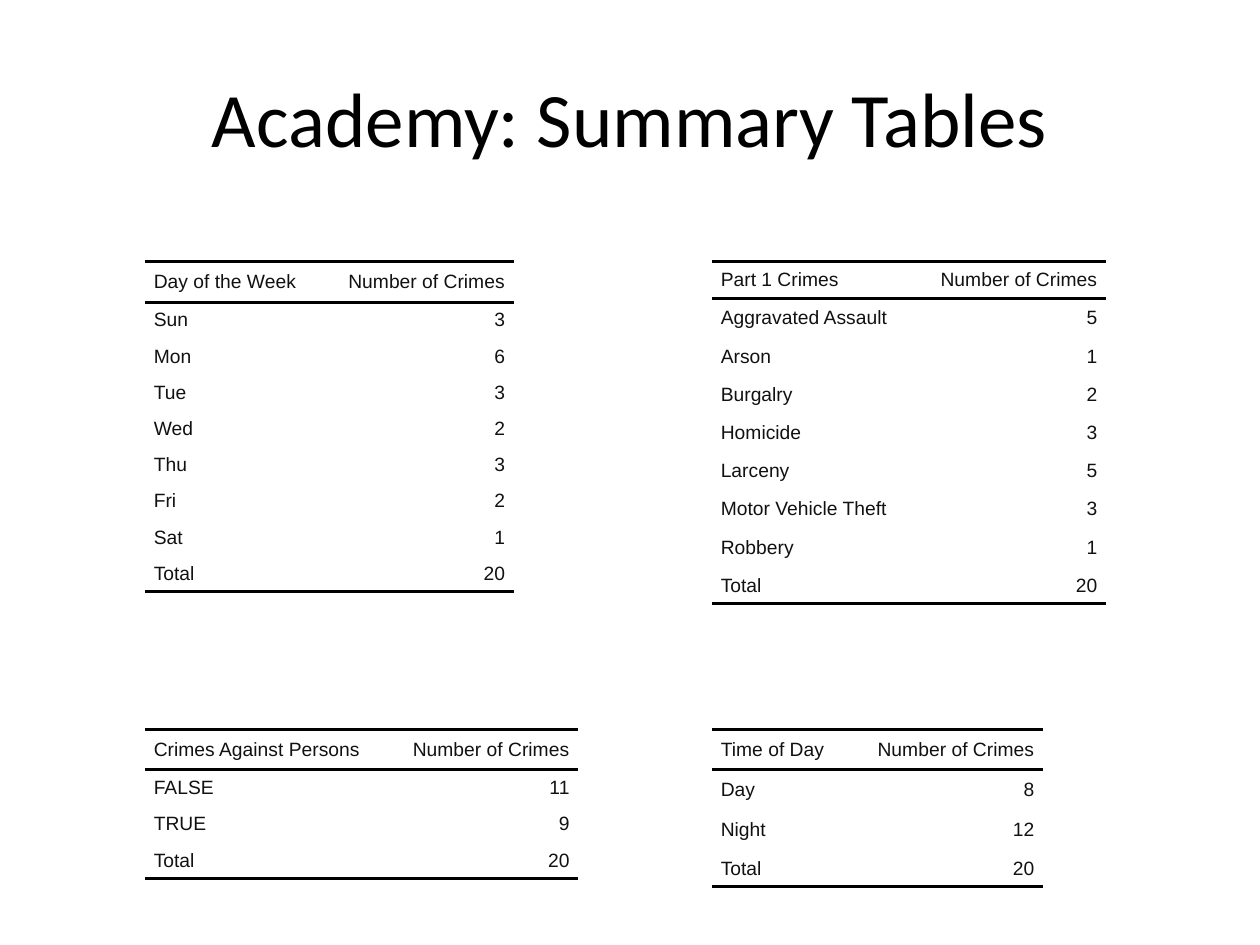
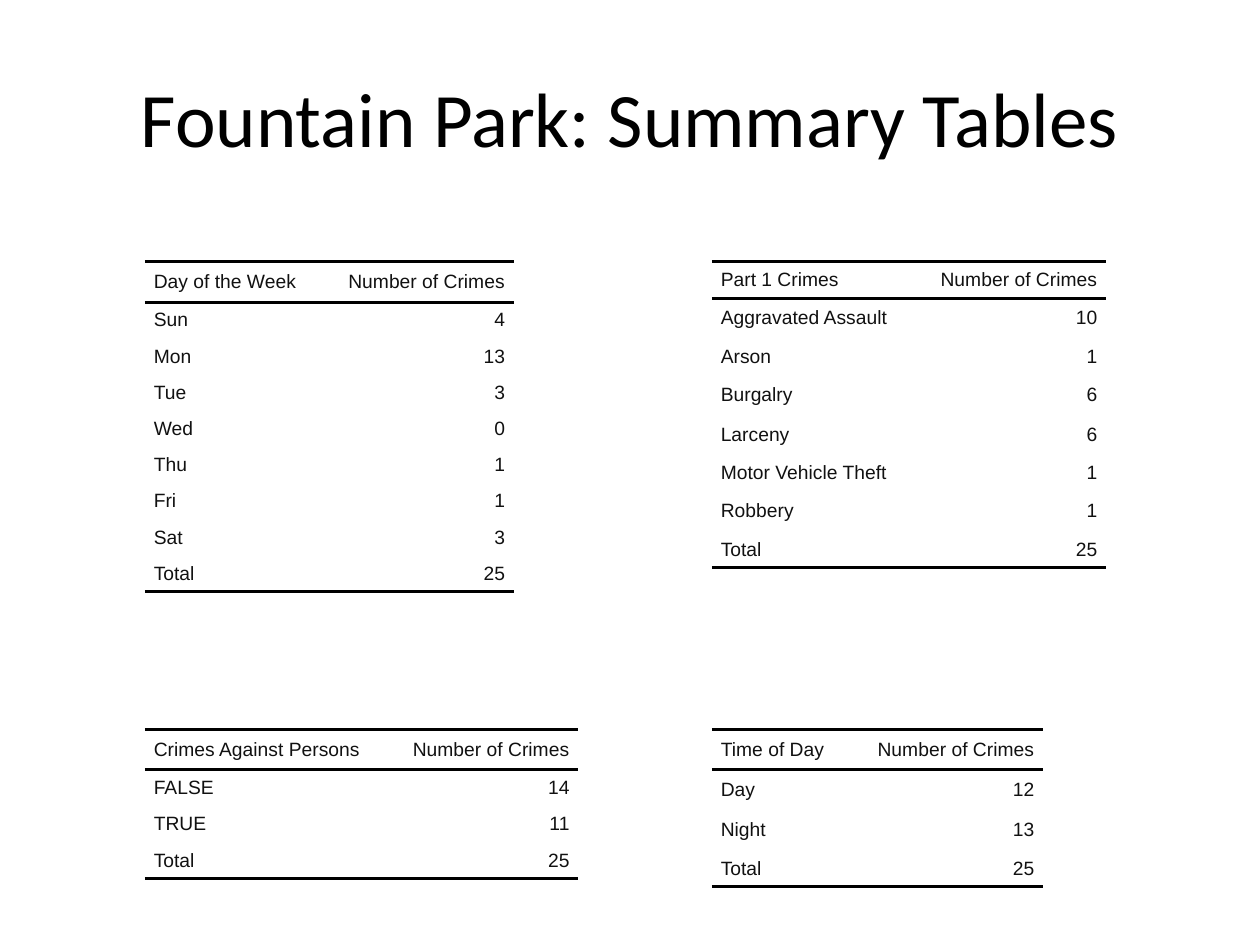
from lxml.etree import SubElement
from pptx import Presentation
from pptx.dml.color import RGBColor
from pptx.enum.text import MSO_ANCHOR, PP_ALIGN
from pptx.oxml.ns import qn
from pptx.util import Cm, Pt

BLACK = RGBColor(0, 0, 0)
TABLE_TEXT = RGBColor(0x11, 0x11, 0x11)
TITLE_FONT, TABLE_FONT = "Calibri", "Arial"
NO_STYLE_NO_GRID = "{2D5ABB26-0587-4C30-8999-92F81FD0307C}"

# Lengths in centimetres
SLIDE_SIZE = (25.4, 19.05)
TITLE_BOX = (1.27, 0.76, 22.86, 3.18)
LEFT, RIGHT = 2.92, 14.35
TOP, BOTTOM = 5.28, 14.71
COUNT_WIDTH = 3.86
SHORT_ROW, TALL_ROW = 0.73, 0.81
CELL_INDENT = 0.18
DESCENDERS = set("gjpqy")

# Heading, left, top and label column width of each table
TABLES = (
    ("Part 1 Crimes", RIGHT, TOP, 4.09),
    ("Day of the Week", LEFT, TOP, 3.58),
    ("Crimes Against Persons", LEFT, BOTTOM, 4.88),
    ("Time of Day", RIGHT, BOTTOM, 2.82),
)

DAYS = ("Sun", "Mon", "Tue", "Wed", "Thu", "Fri", "Sat")
DISTRICTS = {
    "Academy": {
        "Part 1 Crimes": {
            "Aggravated Assault": 5, "Arson": 1, "Burgalry": 2, "Homicide": 3,
            "Larceny": 5, "Motor Vehicle Theft": 3, "Robbery": 1},
        "Day of the Week": dict(zip(DAYS, (3, 6, 3, 2, 3, 2, 1))),
        "Crimes Against Persons": {"FALSE": 11, "TRUE": 9},
        "Time of Day": {"Day": 8, "Night": 12},
    },
    "Fountain Park": {
        "Part 1 Crimes": {
            "Aggravated Assault": 10, "Arson": 1, "Burgalry": 6,
            "Larceny": 6, "Motor Vehicle Theft": 1, "Robbery": 1},
        "Day of the Week": dict(zip(DAYS, (4, 13, 3, 0, 1, 1, 3))),
        "Crimes Against Persons": {"FALSE": 14, "TRUE": 11},
        "Time of Day": {"Day": 12, "Night": 13},
    },
}


def write_text(text_frame, text, *, font, size, color, align, indent=0):
    paragraph = text_frame.paragraphs[0]
    paragraph.alignment = align
    if indent:
        properties = paragraph._p.get_or_add_pPr()
        for side in ("marL", "marR"):
            properties.set(side, str(Cm(indent)))
    run = paragraph.add_run()
    run.text = text
    run.font.name = font
    run.font.size = Pt(size)
    run.font.color.rgb = color


def add_title(slide, text, box):
    shape = slide.shapes.add_textbox(*map(Cm, box))
    shape.text_frame.word_wrap = True
    shape.text_frame.vertical_anchor = MSO_ANCHOR.MIDDLE
    write_text(shape.text_frame, text, font=TITLE_FONT, size=44,
               color=BLACK, align=PP_ALIGN.CENTER)


def add_rule(cell, side):
    """Draw a black line on one side of a cell: lnT or lnB."""
    properties = cell._tc.get_or_add_tcPr()
    line = SubElement(properties, qn(f"a:{side}"), w=str(Pt(2)))
    fill = SubElement(line, qn("a:solidFill"))
    SubElement(fill, qn("a:srgbClr"), val=str(BLACK))


def fill_cell(cell, text, align, rules):
    cell.margin_left = cell.margin_right = 0
    cell.margin_top = cell.margin_bottom = 0
    cell.vertical_anchor = MSO_ANCHOR.MIDDLE
    for side in rules:
        add_rule(cell, side)
    cell.fill.background()
    write_text(cell.text_frame, text, font=TABLE_FONT, size=11,
               color=TABLE_TEXT, align=align, indent=CELL_INDENT)


def add_summary_table(slide, heading, counts, left, top, label_width):
    rows = [(heading, "Number of Crimes"), *counts.items(),
            ("Total", sum(counts.values()))]
    # Labels with descenders get a taller row
    heights = [TALL_ROW if DESCENDERS & set(label) else SHORT_ROW
               for label, _ in rows]
    frame = slide.shapes.add_table(
        len(rows), 2, Cm(left), Cm(top),
        Cm(label_width + COUNT_WIDTH), Cm(sum(heights)))
    table = frame.table
    table.first_row = table.horz_banding = False
    table._tbl.tblPr.find(qn("a:tableStyleId")).text = NO_STYLE_NO_GRID

    for column, width in zip(table.columns, (label_width, COUNT_WIDTH)):
        column.width = Cm(width)
    rules = {0: ("lnT", "lnB"), len(rows) - 1: ("lnB",)}
    for index, (row, height) in enumerate(zip(rows, heights)):
        table.rows[index].height = Cm(height)
        for column, align in enumerate((PP_ALIGN.LEFT, PP_ALIGN.RIGHT)):
            fill_cell(table.cell(index, column), str(row[column]), align,
                      rules.get(index, ()))


def add_district_slide(presentation, district, summaries):
    slide = presentation.slides.add_slide(presentation.slide_layouts[6])
    add_title(slide, f"{district}: Summary Tables", TITLE_BOX)
    for heading, left, top, label_width in TABLES:
        add_summary_table(slide, heading, summaries[heading],
                          left, top, label_width)


def main():
    presentation = Presentation()
    presentation.slide_width, presentation.slide_height = map(Cm, SLIDE_SIZE)
    for district, summaries in DISTRICTS.items():
        add_district_slide(presentation, district, summaries)
    presentation.save("out.pptx")


if __name__ == "__main__":
    main()
